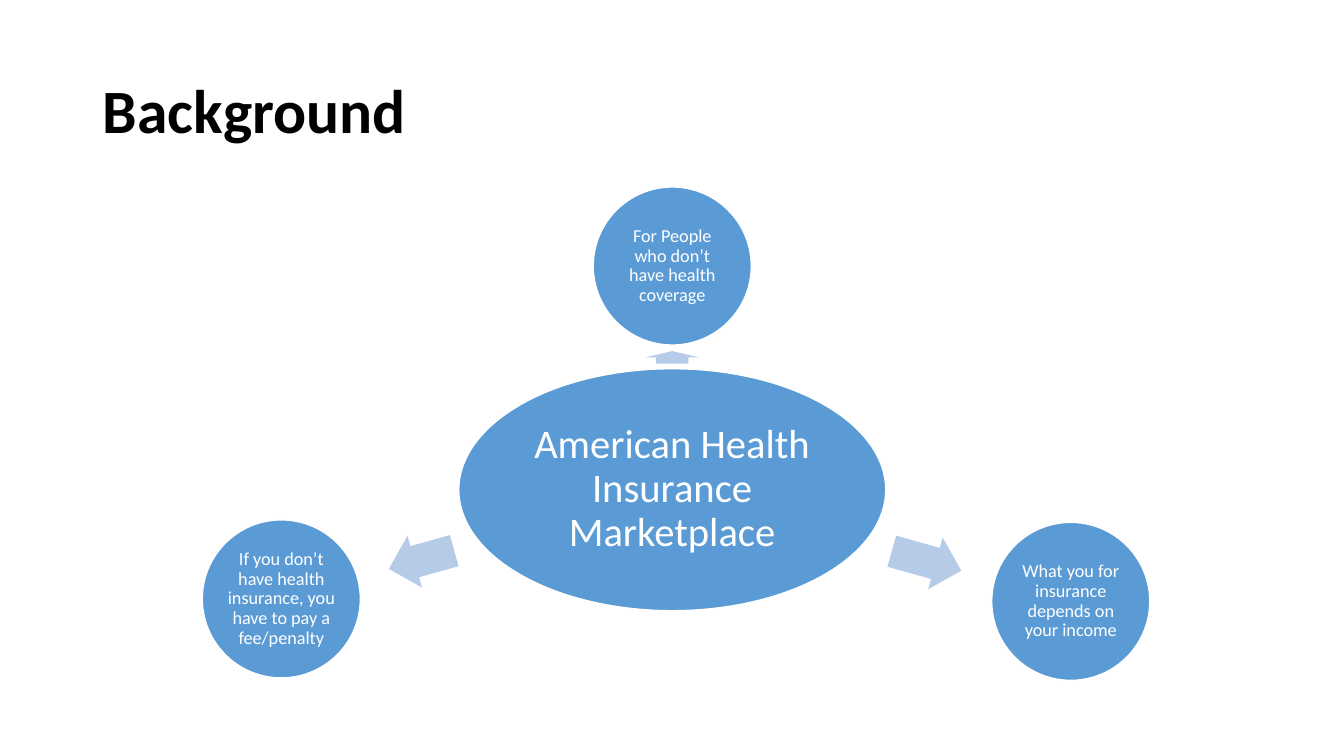
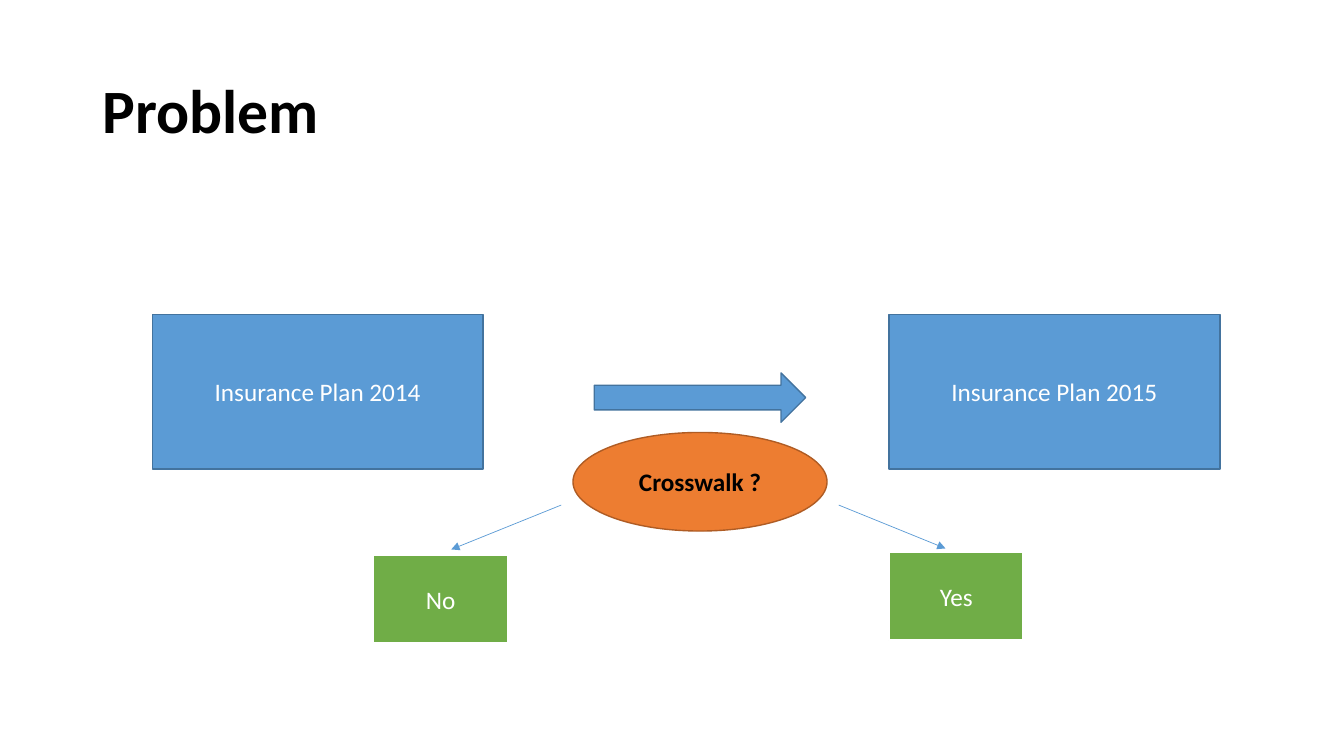
import math
from dataclasses import dataclass

from lxml import etree
from pptx import Presentation
from pptx import util as u
from pptx.dml.color import RGBColor
from pptx.enum import shapes, text
from pptx.oxml.ns import qn


@dataclass(frozen=True)
class Theme:
    font: str = "Calibri"
    blue: str = "5B9BD5"
    blue_edge: str = "43739E"
    pale_blue: str = "B5CBE7"
    orange: str = "ED7D31"
    orange_edge: str = "AF5C24"
    green: str = "70AD47"
    white: str = "FFFFFF"
    black: str = "000000"
    title_size: float = 44
    hub_size: float = 29
    body_size: float = 18
    satellite_size: float = 13


@dataclass(frozen=True)
class Box:
    """A region in inches; its areas are given in percent of it."""
    x: float
    y: float
    w: float
    h: float

    def point(self, px, py):
        return self.x + self.w * px / 100, self.y + self.h * py / 100

    def area(self, px, py, pw, ph):
        return Box(*self.point(px, py), self.w * pw / 100, self.h * ph / 100)

    def emu(self):
        return [u.Inches(v) for v in (self.x, self.y, self.w, self.h)]


def centred(cx, cy, w, h):
    return Box(cx - w / 2, cy - h / 2, w, h)


THEME = Theme()
KIND = shapes.MSO_SHAPE
SLIDE = Box(0, 0, 13.33, 7.5)
TITLE = SLIDE.area(6.9, 5.33, 86.27, 19.33)
HUB_REGION = SLIDE.area(15, 24.67, 70.6, 65.33)
FLOW_REGION = SLIDE.area(11.33, 41.6, 79.44, 43.47)


def write(shape, words, size=THEME.body_size, color=THEME.white, bold=False,
          align=text.PP_ALIGN.CENTER, spacing=1.0, inset=None):
    frame = shape.text_frame
    frame.word_wrap = True
    frame.auto_size = text.MSO_AUTO_SIZE.NONE
    frame.vertical_anchor = text.MSO_ANCHOR.MIDDLE
    if inset is not None:
        frame.margin_left = frame.margin_right = u.Inches(inset)
        frame.margin_top = frame.margin_bottom = u.Inches(inset)
    paragraph = frame.paragraphs[0]
    paragraph.alignment = align
    paragraph.line_spacing = spacing
    run = paragraph.add_run()
    run.text = words
    run.font.name = THEME.font
    run.font.size = u.Pt(size)
    run.font.bold = bold
    run.font.color.rgb = RGBColor.from_string(color)


def add_block(slide, kind, box, fill, edge=None, edge_width=1):
    block = slide.shapes.add_shape(kind, *box.emu())
    block.shadow.inherit = False
    block.fill.solid()
    block.fill.fore_color.rgb = RGBColor.from_string(fill)
    if edge:
        block.line.color.rgb = RGBColor.from_string(edge)
        block.line.width = u.Pt(edge_width)
    else:
        block.line.fill.background()
    return block


def add_branch(slide, start, end):
    branch = slide.shapes.add_connector(
        shapes.MSO_CONNECTOR.STRAIGHT, *[u.Inches(v) for v in (*start, *end)])
    branch.line.color.rgb = RGBColor.from_string(THEME.blue)
    branch.line.width = u.Pt(0.5)
    properties = branch.element.spPr
    etree.SubElement(properties.find(qn("a:ln")), qn("a:tailEnd"), type="triangle")
    etree.SubElement(properties, qn("a:effectLst"))


def add_titled_slide(deck, words):
    slide = deck.slides.add_slide(deck.slide_layouts[5])
    title = slide.shapes.title
    title.left, title.top, title.width, title.height = TITLE.emu()
    write(title, words, size=THEME.title_size, color=THEME.black, bold=True,
          align=text.PP_ALIGN.LEFT, spacing=0.9)
    return slide


def add_spoke(slide, hub_centre, hub_size, satellite_centre, diameter):
    """Arrow in the gap between the hub's rim and a satellite's rim."""
    dx, dy = (s - c for s, c in zip(satellite_centre, hub_centre))
    distance = math.hypot(dx, dy)
    ux, uy = dx / distance, dy / distance
    hub_rim = 1 / math.hypot(2 * ux / hub_size[0], 2 * uy / hub_size[1])
    gap = distance - diameter / 2 - hub_rim
    reach = hub_rim + 0.48 * gap
    arrow_box = centred(hub_centre[0] + reach * ux, hub_centre[1] + reach * uy,
                        0.53 * gap, diameter * 0.34)
    arrow = add_block(slide, KIND.RIGHT_ARROW, arrow_box, THEME.pale_blue)
    arrow.adjustments[0] = 0.6
    arrow.adjustments[1] = 0.5
    arrow.rotation = math.degrees(math.atan2(dy, dx)) % 360


def add_hub_diagram(slide, region, topic, satellites):
    hub_centre = region.point(49.6, 61.4)
    hub_size = region.w * 0.45, region.h * 0.49
    diameter = region.h * 0.32

    # Central topic
    hub = add_block(slide, KIND.OVAL, centred(*hub_centre, *hub_size),
                    THEME.blue, THEME.white)
    write(hub, topic, size=THEME.hub_size, spacing=0.9, inset=0.04)

    # Satellites, each with its arrow
    for words, px, py in satellites:
        centre = region.point(px, py)
        add_spoke(slide, hub_centre, hub_size, centre, diameter)
        satellite = add_block(slide, KIND.OVAL, centred(*centre, diameter, diameter),
                              THEME.blue, THEME.white)
        write(satellite, words, size=THEME.satellite_size, spacing=0.9, inset=0.02)


def add_crosswalk_flow(slide, region, plans, question, answers):
    # Plans at both ends of the region
    plan_width = 31
    for words, px in zip(plans, (0, 100 - plan_width)):
        plan = add_block(slide, KIND.RECTANGLE, region.area(px, 0, plan_width, 47),
                         THEME.blue, THEME.blue_edge)
        write(plan, words)

    # Change of plan and the question it raises
    add_block(slide, KIND.RIGHT_ARROW, region.area(41.4, 17.8, 19.8, 15),
              THEME.blue, THEME.blue_edge)
    crosswalk = add_block(slide, KIND.OVAL, region.area(39.4, 35.9, 23.8, 30),
                          THEME.orange, THEME.orange_edge)
    write(crosswalk, question, color=THEME.black, bold=True)

    # Answers, each at the end of a branch
    for words, start, end, corner in answers:
        add_branch(slide, region.point(*start), region.point(*end))
        answer = add_block(slide, KIND.RECTANGLE, region.area(*corner, 12.6, 26.7),
                           THEME.green, THEME.white, edge_width=1.5)
        write(answer, words)


def main():
    deck = Presentation()
    deck.slide_width, deck.slide_height = SLIDE.emu()[2:]

    background = add_titled_slide(deck, "Background")
    add_hub_diagram(background, HUB_REGION, "American Health Insurance Marketplace", [
        ("For People who don’t have health coverage", 49.6, 16.1),
        ("What you for insurance depends on your income", 91.6, 84),
        ("If you don’t have health insurance, you have to pay a fee/penalty", 8.4, 83.5),
    ])

    problem = add_titled_slide(deck, "Problem")
    add_crosswalk_flow(
        problem, FLOW_REGION, ("Insurance Plan 2014", "Insurance Plan 2015"),
        "Crosswalk ?", [
            ("No", (38.3, 58), (28, 71.5), (20.7, 73.3)),
            ("Yes", (64.3, 58), (74.3, 71.2), (69, 72.4)),
        ])

    deck.save("out.pptx")


if __name__ == "__main__":
    main()
